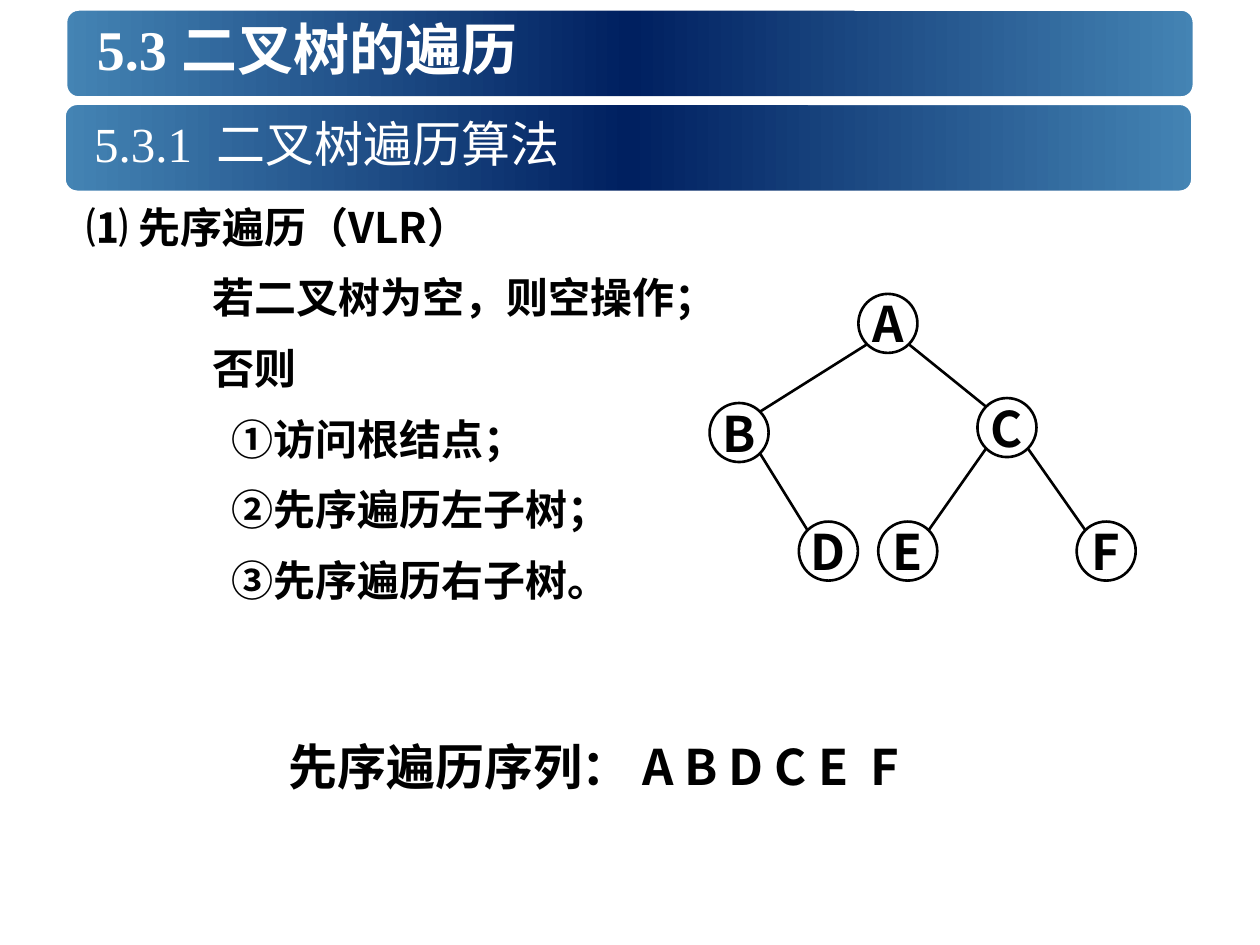
from copy import deepcopy
from math import sqrt
from lxml.etree import SubElement
from pptx import Presentation
from pptx.dml.color import RGBColor
from pptx.enum.shapes import MSO_CONNECTOR, MSO_SHAPE
from pptx.enum.text import MSO_ANCHOR, PP_ALIGN
from pptx.oxml.ns import qn
from pptx.util import Cm, Pt

COLORS = {"white": "FFFFFF", "black": "000000", "edge": "4484B4", "mid": "002060"}
RGB = {name: RGBColor.from_string(code) for name, code in COLORS.items()}
SANS, SERIF = "Noto Sans CJK SC", "Times New Roman"


def style(frame, size, font, color, bold, align):
    """Format every paragraph and run, with the sans face for Chinese."""
    frame.vertical_anchor = MSO_ANCHOR.MIDDLE
    for para in frame.paragraphs:
        para.alignment = align
        for run in para.runs:
            run.font.size, run.font.name, run.font.bold = Pt(size), font, bold
            run.font.color.rgb = RGB[color]
            SubElement(run.font._element, qn("a:ea")).set("typeface", SANS)


def add_bar(left, top):
    bar = slide.shapes.add_shape(
        MSO_SHAPE.ROUNDED_RECTANGLE, Cm(left), Cm(top), Cm(22.86), Cm(1.9))
    bar.shadow.inherit = False
    bar.line.color.rgb = RGB["white"]
    bar.line.width = Pt(5)
    bar.fill.gradient()
    bar.fill.gradient_angle = 0
    first = bar.fill.gradient_stops[0]._gs
    first.addnext(deepcopy(first))
    for stop, spot, color in zip(bar.fill.gradient_stops, (0, 0.5, 1), ("edge", "mid", "edge")):
        stop.position = spot
        stop.color.rgb = RGB[color]
    return bar


deck = Presentation()
deck.slide_width, deck.slide_height = Cm(25.4), Cm(19.05)
slide = deck.slides.add_slide(deck.slide_layouts[5])

# Headings
title = slide.shapes.title
bar = add_bar(1.27, 0.13)
title._element.addprevious(bar._element)
title.left, title.top, title.width, title.height = Cm(1.7), Cm(0.13), Cm(22.22), Cm(1.7)
title.text_frame.text = "5.3 二叉树的遍历"
style(title.text_frame, 32, SERIF, "white", True, PP_ALIGN.LEFT)

add_bar(1.24, 2.03)
sub = slide.shapes.add_textbox(Cm(1.65), Cm(2.03), Cm(22.22), Cm(1.7)).text_frame
sub.word_wrap = True
sub.text = "5.3.1  二叉树遍历算法"
style(sub, 28, SERIF, "white", False, PP_ALIGN.LEFT)

# Algorithm steps, each with its left indent
steps = [
    ("⑴ 先序遍历（VLR）", 0),
    ("若二叉树为空，则空操作；", 2.54),
    ("否则", 2.54),
    ("①访问根结点；", 2.92),
    ("②先序遍历左子树；", 2.92),
    ("③先序遍历右子树。", 2.92),
]
body = slide.shapes.add_textbox(Cm(1.5), Cm(3.53), Cm(13.34), Cm(8.79)).text_frame
body.word_wrap = True
body.text = "\n".join(text for text, _ in steps)
style(body, 24, SANS, "black", True, PP_ALIGN.JUSTIFY)
body.vertical_anchor = MSO_ANCHOR.TOP
for para, (_, indent) in zip(body.paragraphs, steps):
    para.line_spacing = 1.4
    props = para._p.get_or_add_pPr()
    props.set("marL", str(Cm(indent)))
    props.set("indent", "0")

# Binary tree: node centres in cm
nodes = {"A": (17.9, 6.52), "B": (14.9, 8.72), "D": (16.7, 11.11),
         "C": (20.3, 8.62), "E": (18.3, 11.11), "F": (22.3, 11.11)}
size = 1.19
for name, (x, y) in nodes.items():
    node = slide.shapes.add_shape(
        MSO_SHAPE.OVAL, Cm(x - size / 2), Cm(y - size / 2), Cm(size), Cm(size))
    node.shadow.inherit = False
    node.fill.background()
    node.line.color.rgb = RGB["black"]
    node.line.width = Pt(1.5)
    node.text_frame.word_wrap = False
    node.text_frame.text = name
    style(node.text_frame, 28, SANS, "black", True, PP_ALIGN.CENTER)

# Edges leave and enter each circle on its diagonal
reach = size / 2 / sqrt(2)
for up, down in ("AB", "BD", "AC", "CE", "CF"):
    (x1, y1), (x2, y2) = nodes[up], nodes[down]
    side = reach if x2 > x1 else -reach
    edge = slide.shapes.add_connector(
        MSO_CONNECTOR.STRAIGHT, Cm(x1 + side), Cm(y1 + reach), Cm(x2 - side), Cm(y2 - reach))
    edge.line.color.rgb = RGB["black"]
    edge.line.width = Pt(1.5)
    SubElement(edge._element.spPr, qn("a:effectLst"))

# Resulting order
order = slide.shapes.add_textbox(Cm(3.5), Cm(14.6), Cm(16.94), Cm(1.7)).text_frame
order.word_wrap = True
order.text = "先序遍历序列： A B D C E  F"
style(order, 28, SANS, "black", True, PP_ALIGN.CENTER)

deck.save("out.pptx")
